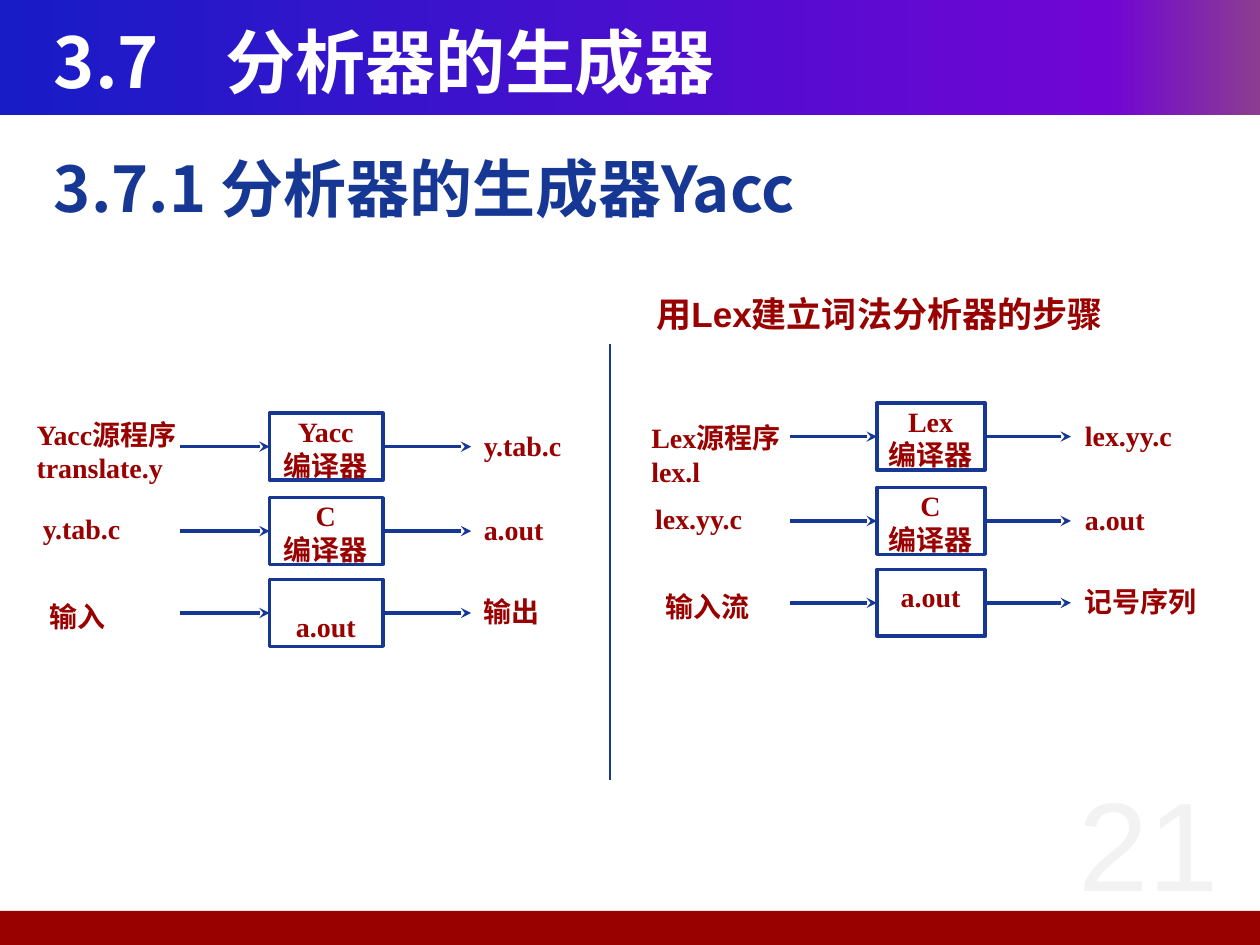
from copy import deepcopy

from lxml import etree
from pptx import Presentation
from pptx.dml.color import RGBColor
from pptx.enum.shapes import MSO_CONNECTOR as CONN, MSO_SHAPE as SHAPE
from pptx.enum.text import MSO_ANCHOR as ANCHOR, PP_ALIGN as ALIGN
from pptx.oxml.ns import qn
from pptx.util import Inches, Pt

COLORS = {"navy": "163794", "red": "990000", "white": "FFFFFF", "pale": "F2F2F2"}
RGB = {name: RGBColor.from_string(value) for name, value in COLORS.items()}
BAND = [(0, "181CC7"), (0.88, "7005D4"), (1, "8C3D91")]
CJK, SERIF, SANS = "Noto Sans CJK SC", "Times New Roman", "Arial"

prs = Presentation()
prs.slide_width, prs.slide_height = Inches(10), Inches(7.5)
COL, ROW = prs.slide_width / 100, prs.slide_height / 75
slide = prs.slides.add_slide(prs.slide_layouts[6])
shapes = slide.shapes


def cells(x, y, w, h):
    """Turn grid columns and rows into lengths."""
    return int(x * COL), int(y * ROW), int(w * COL), int(h * ROW)


def write(s, lines, size, color, font=SERIF, bold=True, align=ALIGN.LEFT,
          anchor=ANCHOR.TOP, insets=(1, 0.5, 1, 0.5), tab=None):
    tf = s.text_frame
    left, top, right, bottom = cells(*insets)
    frame = {"word_wrap": True, "vertical_anchor": anchor, "margin_left": left,
             "margin_top": top, "margin_right": right, "margin_bottom": bottom}
    for name, value in frame.items():
        setattr(tf, name, value)
    for i, line in enumerate(lines):
        p = tf.paragraphs[0] if i == 0 else tf.add_paragraph()
        p.alignment = align
        if tab:
            tabs = etree.SubElement(p._p.get_or_add_pPr(), qn("a:tabLst"))
            etree.SubElement(tabs, qn("a:tab"), pos=str(int(tab * COL)), algn="l")
        r = p.add_run()
        r.text = line
        for name, value in {"size": Pt(size), "bold": bold, "name": font}.items():
            setattr(r.font, name, value)
        r.font.color.rgb = RGB[color]
        etree.SubElement(r._r.get_or_add_rPr(), qn("a:ea"), typeface=CJK)


# Bands at the top and the bottom
s = shapes.add_shape(SHAPE.RECTANGLE, *cells(0, 0, 100, 9.1))
s.shadow.inherit = False
s.line.fill.background()
s.fill.gradient()
s.fill.gradient_angle = 0
stop_list = s._element.spPr.find(qn("a:gradFill")).find(qn("a:gsLst"))
stop_list.append(deepcopy(stop_list[0]))
for stop, (position, color) in zip(s.fill.gradient_stops, BAND):
    stop.position = position
    stop.color.rgb = RGBColor.from_string(color)

s = shapes.add_shape(SHAPE.RECTANGLE, *cells(0, 72.3, 100, 2.7))
s.shadow.inherit = False
s.line.fill.background()
s.fill.solid()
s.fill.fore_color.rgb = RGB["red"]

# Headings and page number
title = shapes.add_textbox(*cells(3.3, 1.7, 92.5, 6.2))
write(title, ["3.7\t分析器的生成器"], 40, "white", CJK, anchor=ANCHOR.MIDDLE, tab=13.6)
section = shapes.add_textbox(*cells(3.3, 11.4, 93.3, 7.5))
write(section, ["3.7.1 分析器的生成器Yacc"], 36, "navy", CJK)
page = shapes.add_textbox(*cells(82.3, 60.3, 17.7, 14.2))
write(page, ["21"], 72, "pale", SANS, bold=False, align=ALIGN.CENTER)
heading = shapes.add_textbox(*cells(50, 21.8, 41.7, 8.3))
write(heading, ["用Lex建立词法分析器的步骤"], 20, "red", SANS, insets=(2.1, 1.4, 1, 0.5))

# Each flow: first box, arrow ends, output column, then one step per row:
# input label (x, y shift, width, lines), box lines, box top inset, output
STEP_SHIFTS = (0, 6.7, 13.2)
FLOWS = [
    ((21.4, 32.8, 9.0), 14.3, 37.4, (37.5, 10), [
        ((2.0, 0, 15, ["Yacc源程序", "translate.y"]), ["Yacc", "编译器"], 0.1, "y.tab.c"),
        ((2.5, 0.8, 9, ["y.tab.c"]), ["C", "编译器"], 0.1, "a.out"),
        ((3.0, 1.3, 8.5, ["输入"]), ["a.out"], 2.4, "输出"),
    ]),
    ((69.6, 32.0, 8.6), 62.7, 85.0, (85.2, 13.8), [
        ((50.8, 1.1, 14.3, ["Lex源程序lex.l"]), ["Lex", "编译器"], 0.1, "lex.yy.c"),
        ((51.1, 0.8, 10.8, ["lex.yy.c"]), ["C", "编译器"], 0.1, "a.out"),
        ((51.9, 1.3, 10, ["输入流"]), ["a.out"], 0.8, "记号序列"),
    ]),
]
BOX_H, LABEL_H = 5.3, 2.9
LABEL_INSETS = (0.9, 0.3, 1, 0.5)
connectors = []

for (box_x, top, box_w), start, end, (out_x, out_w), steps in FLOWS:
    for shift, (source, box_lines, inset, output) in zip(STEP_SHIFTS, steps):
        y = top + shift
        s = shapes.add_shape(SHAPE.RECTANGLE, *cells(box_x, y, box_w, BOX_H))
        s.shadow.inherit = False
        s.fill.background()
        s.line.color.rgb = RGB["navy"]
        s.line.width = Pt(2)
        write(s, box_lines, 16, "red", align=ALIGN.CENTER, insets=(0.9, inset, 1, 0.1))

        mid = s.top + s.height // 2
        arrow_in = shapes.add_connector(CONN.STRAIGHT, int(start * COL), mid, s.left, mid)
        arrow_in.end_connect(s, 1)
        arrow_out = shapes.add_connector(CONN.STRAIGHT, s.left + s.width, mid,
                                         int(end * COL), mid)
        arrow_out.begin_connect(s, 3)
        connectors += [(arrow_in, 2, True), (arrow_out, 2, True)]

        in_x, in_shift, in_w, in_lines = source
        align = ALIGN.LEFT if "lex.l" in in_lines[0] else ALIGN.JUSTIFY
        label = shapes.add_textbox(*cells(in_x, y + in_shift, in_w, LABEL_H * len(in_lines)))
        write(label, in_lines, 16, "red", align=align, insets=LABEL_INSETS)
        label = shapes.add_textbox(*cells(out_x, y + 0.9, out_w, LABEL_H))
        write(label, [output], 16, "red", align=ALIGN.JUSTIFY, insets=LABEL_INSETS)

divider_x = int(48.4 * COL)
divider = shapes.add_connector(CONN.STRAIGHT, divider_x, int(27.3 * ROW),
                               divider_x, int(61.9 * ROW))
connectors.append((divider, 1, False))

for c, width, has_head in connectors:
    c.line.color.rgb = RGB["navy"]
    c.line.width = Pt(width)
    if has_head:
        etree.SubElement(c.line._get_or_add_ln(), qn("a:tailEnd"), type="stealth")
    etree.SubElement(c._element.spPr, qn("a:effectLst"))

prs.save("out.pptx")
